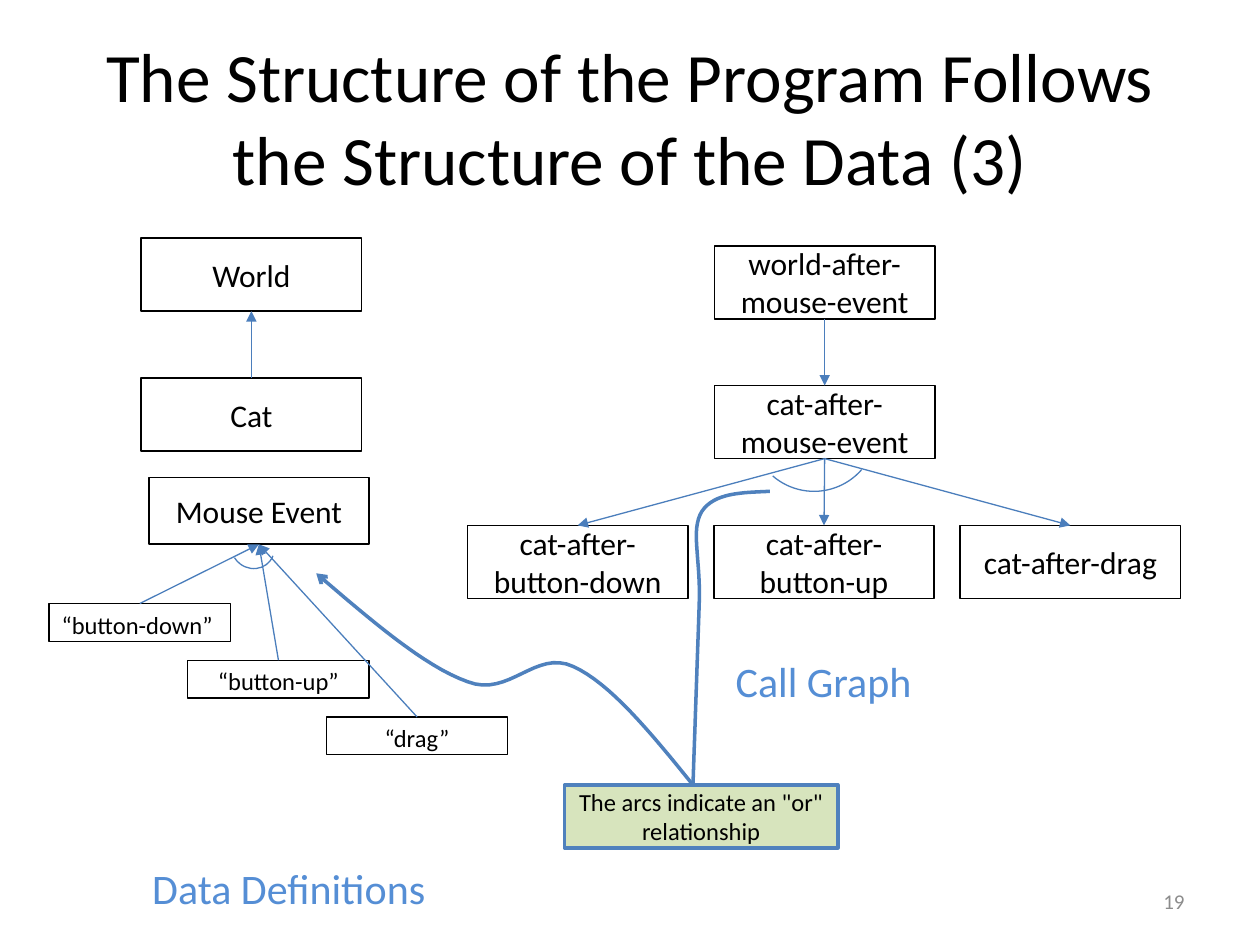
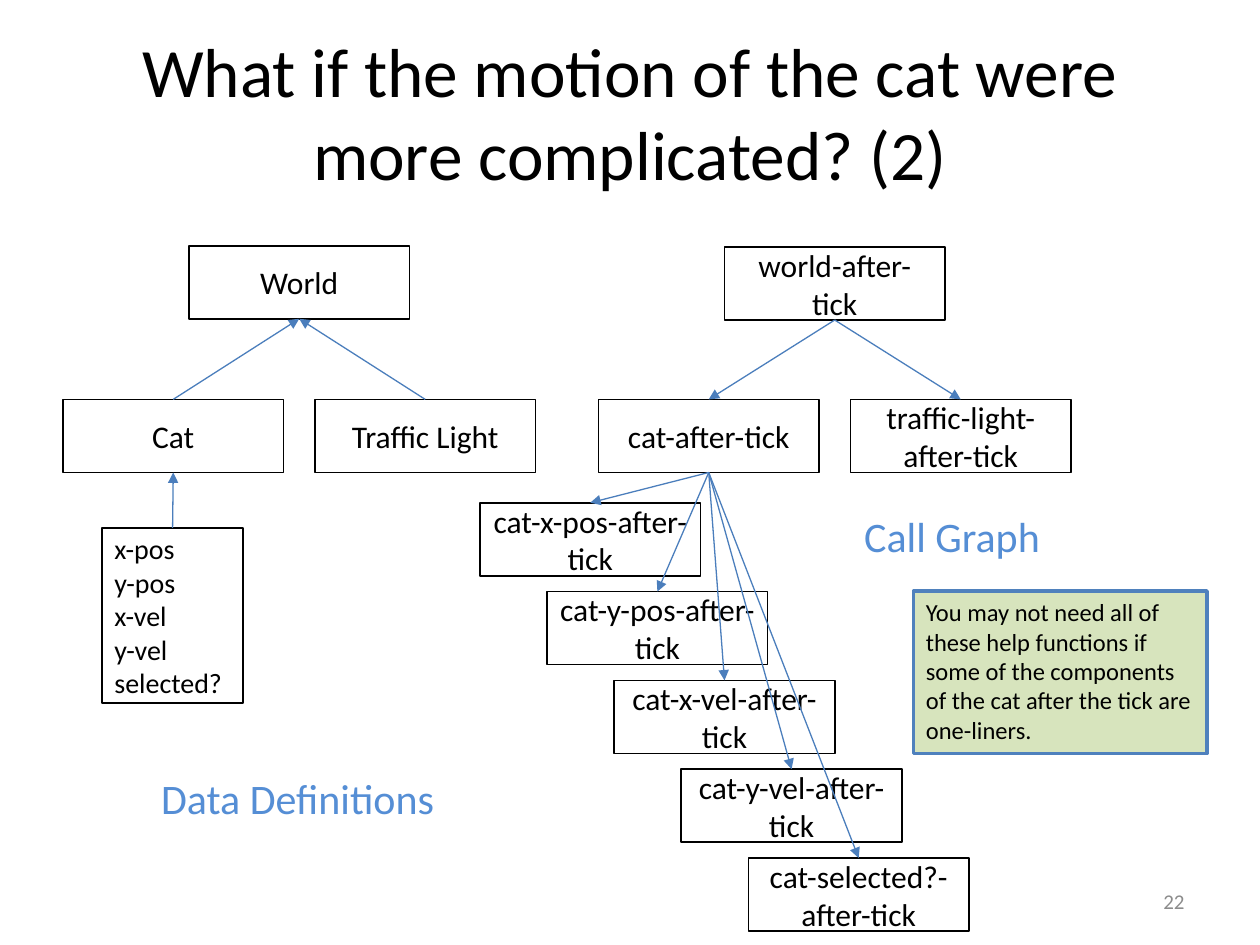
"""Build two slides that set data definitions beside their call graphs."""

from dataclasses import dataclass, field
from typing import Optional

import pptx
import pptx.dml.color
import pptx.enum.shapes
import pptx.enum.text
import pptx.oxml
import pptx.presentation
import pptx.shapes.autoshape
import pptx.slide
import pptx.util
from pptx.util import Inches

Align = pptx.enum.text.PP_ALIGN
Anchor = pptx.enum.text.MSO_ANCHOR
AutoSize = pptx.enum.text.MSO_AUTO_SIZE
Preset = pptx.enum.shapes.MSO_SHAPE
Color = pptx.dml.color.RGBColor
Shape = pptx.shapes.autoshape.Shape
Point = tuple[float, float]

TOP, BOTTOM = 0, 2


@dataclass(frozen=True)
class Theme:
    font: str = "Calibri"
    ink: Color = Color.from_string("000000")
    label: Color = Color.from_string("558ED5")
    number: Color = Color.from_string("8C8C8C")
    link: Color = Color.from_string("4B7EBC")
    accent: Color = Color.from_string("4F81BD")
    note: Color = Color.from_string("D7E4BD")
    title_size: float = 39.6
    label_size: float = 24
    node_size: float = 18
    list_size: float = 16
    small_size: float = 14
    number_size: float = 12
    thin: float = 0.75
    medium: float = 1
    thick: float = 2


THEME = Theme()


@dataclass(frozen=True)
class BoxStyle:
    size: float = THEME.node_size
    align: Align = Align.CENTER
    anchor: Anchor = Anchor.MIDDLE
    border: Color = THEME.ink
    weight: float = THEME.medium
    fill: Optional[Color] = None


NODE = BoxStyle()
FIELDS = BoxStyle(size=THEME.list_size, align=Align.LEFT)
LEAF = BoxStyle(size=THEME.small_size, anchor=Anchor.TOP, weight=THEME.thin)
LEFT_LEAF = BoxStyle(size=THEME.small_size, align=Align.LEFT, anchor=Anchor.TOP,
                     weight=THEME.thin)
NOTE = BoxStyle(size=THEME.small_size, border=THEME.accent,
                weight=THEME.thick, fill=THEME.note)
LEFT_NOTE = BoxStyle(size=THEME.small_size, align=Align.LEFT, anchor=Anchor.TOP,
                     border=THEME.accent, weight=THEME.thick, fill=THEME.note)


@dataclass(frozen=True)
class Box:
    text: str
    left: float
    top: float
    width: float = 1.75
    height: float = 0.58
    style: BoxStyle = NODE


@dataclass(frozen=True)
class Fan:
    hub: str
    others: list[str]
    upward: bool


@dataclass(frozen=True)
class Label:
    text: str
    left: float
    top: float
    width: float


@dataclass(frozen=True)
class Arc:
    left: float
    top: float
    width: float
    height: float
    rotation: float
    angles: tuple[float, float]


@dataclass(frozen=True)
class Curve:
    start: Point
    bends: list[tuple[Point, Point, Point]]
    arrow: bool = False


@dataclass(frozen=True)
class Diagram:
    title: str
    title_top: float
    number: str
    boxes: list[Box]
    fans: list[Fan]
    labels: list[Label]
    arcs: list[Arc] = field(default_factory=list)
    curves: list[Curve] = field(default_factory=list)


def style_text(shape: Shape, size: float, color: Color, align: Align, anchor: Anchor) -> None:
    shape.text_frame.vertical_anchor = anchor
    for paragraph in shape.text_frame.paragraphs:
        paragraph.alignment = align
        paragraph.font.name = THEME.font
        paragraph.font.size = pptx.util.Pt(size)
        paragraph.font.color.rgb = color


def style_line(shape, color: Color, weight: float, arrow: Optional[str] = None) -> None:
    shape.line.color.rgb = color
    shape.line.width = pptx.util.Pt(weight)
    if arrow:
        tail = pptx.oxml.parse_xml(
            '<a:tailEnd xmlns:a="http://schemas.openxmlformats.org/drawingml/2006/main"'
            f' type="{arrow}"/>')
        shape.line._get_or_add_ln().append(tail)


def add_title(page: pptx.slide.Slide, text: str, top: float) -> None:
    title = page.shapes.title
    title.left, title.top = Inches(0.5), Inches(top)
    title.width, title.height = Inches(9), Inches(1.25)
    title.text_frame.text = text
    title.text_frame.auto_size = AutoSize.NONE
    style_text(title, THEME.title_size, THEME.ink, Align.CENTER, Anchor.MIDDLE)


def add_number(page: pptx.slide.Slide, text: str) -> None:
    box = page.shapes.add_textbox(Inches(7.17), Inches(6.95), Inches(2.33), Inches(0.4))
    box.text_frame.text = text
    box.text_frame.word_wrap = True
    style_text(box, THEME.number_size, THEME.number, Align.RIGHT, Anchor.MIDDLE)


def add_label(page: pptx.slide.Slide, label: Label) -> None:
    box = page.shapes.add_textbox(Inches(label.left), Inches(label.top),
                                  Inches(label.width), Inches(0.5))
    box.text_frame.text = label.text
    box.text_frame.word_wrap = False
    box.text_frame.auto_size = AutoSize.SHAPE_TO_FIT_TEXT
    style_text(box, THEME.label_size, THEME.label, Align.LEFT, Anchor.TOP)


def add_box(page: pptx.slide.Slide, box: Box) -> Shape:
    style = box.style
    shape = page.shapes.add_shape(Preset.RECTANGLE, Inches(box.left), Inches(box.top),
                                  Inches(box.width), Inches(box.height))
    shape.shadow.inherit = False
    if style.fill is None:
        shape.fill.background()
    else:
        shape.fill.solid()
        shape.fill.fore_color.rgb = style.fill
    style_line(shape, style.border, style.weight)
    shape.text_frame.text = box.text
    shape.text_frame.word_wrap = True
    style_text(shape, style.size, THEME.ink, style.align, style.anchor)
    return shape


def add_link(page: pptx.slide.Slide, start: Shape, end: Shape, upward: bool) -> None:
    link = page.shapes.add_connector(pptx.enum.shapes.MSO_CONNECTOR.STRAIGHT, 0, 0, 0, 0)
    link.begin_connect(start, TOP if upward else BOTTOM)
    link.end_connect(end, BOTTOM if upward else TOP)
    style_line(link, THEME.link, THEME.thin, "triangle")
    link._element.spPr.append(pptx.oxml.parse_xml(
        '<a:effectLst xmlns:a="http://schemas.openxmlformats.org/drawingml/2006/main"/>'))


def add_arc(page: pptx.slide.Slide, arc: Arc) -> None:
    shape = page.shapes.add_shape(Preset.ARC, Inches(arc.left), Inches(arc.top),
                                  Inches(arc.width), Inches(arc.height))
    shape.adjustments[0], shape.adjustments[1] = arc.angles
    shape.rotation = arc.rotation
    shape.shadow.inherit = False
    shape.fill.background()
    style_line(shape, THEME.link, THEME.thin)


def bezier(points: tuple[Point, Point, Point, Point], share: float) -> Point:
    rest = 1 - share
    weights = (rest ** 3, 3 * rest ** 2 * share, 3 * rest * share ** 2, share ** 3)
    return (sum(weight * x for weight, (x, _) in zip(weights, points)),
            sum(weight * y for weight, (_, y) in zip(weights, points)))


def add_curve(page: pptx.slide.Slide, curve: Curve, steps: int = 16) -> None:
    dots, start = [], curve.start
    for bend in curve.bends:
        dots += [bezier((start, *bend), step / steps) for step in range(1, steps + 1)]
        start = bend[-1]
    builder = page.shapes.build_freeform(*map(Inches, curve.start))
    builder.add_line_segments([(Inches(x), Inches(y)) for x, y in dots], close=False)
    shape = builder.convert_to_shape()
    shape.shadow.inherit = False
    shape.fill.background()
    style_line(shape, THEME.accent, THEME.thick, "arrow" if curve.arrow else None)


def add_diagram(deck: pptx.presentation.Presentation, diagram: Diagram) -> None:
    page = deck.slides.add_slide(deck.slide_layouts.get_by_name("Title Only"))
    add_title(page, diagram.title, diagram.title_top)
    add_number(page, diagram.number)
    shapes = {box.text: add_box(page, box) for box in diagram.boxes}
    for fan in diagram.fans:
        for other in fan.others:
            ends = (other, fan.hub) if fan.upward else (fan.hub, other)
            add_link(page, *(shapes[name] for name in ends), fan.upward)
    for label in diagram.labels:
        add_label(page, label)
    for arc in diagram.arcs:
        add_arc(page, arc)
    for curve in diagram.curves:
        add_curve(page, curve)


EVENTS = ["“button-down”", "“button-up”", "“drag”"]
HANDLERS = ["cat-after-button-down", "cat-after-button-up", "cat-after-drag"]
CAT_FIELDS = ["x-pos", "y-pos", "x-vel", "y-vel", "selected?"]
FIELD_LIST = "\n".join(CAT_FIELDS)
FIELD_HELPERS = [f"cat-{name}-after-tick" for name in CAT_FIELDS]
ARC_NOTE_TOP = (5.5, 6.23)

MOUSE_EVENTS = Diagram(
    "The Structure of the Program Follows the Structure of the Data (3)", 0.3, "19",
    boxes=[
        Box("World", 1.12, 1.89), Box("Cat", 1.12, 3),
        Box("Mouse Event", 1.18, 3.79, height=0.53),
        *(Box(name, 0.39 + 1.1 * i, 4.79 + 0.45 * i, 1.44, 0.3, LEAF if i else LEFT_LEAF)
          for i, name in enumerate(EVENTS)),
        Box("world-after-mouse-event", 5.67, 1.95), Box("cat-after-mouse-event", 5.67, 3.06),
        *(Box(name, 3.71 + 3.91 / 2 * i, 4.17) for i, name in enumerate(HANDLERS)),
        Box('The arcs indicate an "or" relationship', 4.48, 6.23, 2.17, 0.5, NOTE),
    ],
    fans=[
        Fan("World", ["Cat"], True), Fan("Mouse Event", EVENTS, True),
        Fan("world-after-mouse-event", ["cat-after-mouse-event"], False),
        Fan("cat-after-mouse-event", HANDLERS, False),
    ],
    labels=[Label("Call Graph", 5.74, 5.15, 1.61), Label("Data Definitions", 1.11, 6.8, 2.39)],
    arcs=[Arc(1.84, 4.17, 0.33, 0.35, 127.6, (152.94, 13.78)),
          Arc(5.96, 2.9, 1, 1, 130.9, (162, 0))],
    curves=[
        Curve(ARC_NOTE_TOP, [((5.17, 5.82), (4.84, 5.42), (4.55, 5.29)),
                             ((4.25, 5.15), (4.04, 5.54), (3.71, 5.41)),
                             ((3.37, 5.29), (2.94, 4.92), (2.51, 4.55))], arrow=True),
        Curve(ARC_NOTE_TOP, [(ARC_NOTE_TOP, (5.55, 4.78), (5.55, 4.78)),
                             ((5.56, 4.42), (5.48, 4.21), (5.57, 4.06)),
                             ((5.67, 3.91), (5.89, 3.91), (6.11, 3.9))]),
    ])

CAT_MOTION = Diagram(
    "What if the motion of the cat were more complicated? (2)", 0.26, "22",
    boxes=[
        Box("World", 1.5, 1.95), Box("Cat", 0.5, 3.17), Box("Traffic Light", 2.5, 3.17),
        Box(FIELD_LIST, 0.81, 4.19, 1.12, 1.39, FIELDS),
        Box("world-after-tick", 5.75, 1.96), Box("cat-after-tick", 4.75, 3.17),
        Box("traffic-light-after-tick", 6.75, 3.17),
        *(Box(name, 3.81 + 2.13 / 4 * i, 3.99 + 2.82 / 4 * i)
          for i, name in enumerate(FIELD_HELPERS)),
        Box("You may not need all of these help functions if some of the components "
            "of the cat after the tick are one-liners.", 7.25, 4.69, 2.33, 1.29, LEFT_NOTE),
    ],
    fans=[
        Fan("World", ["Cat", "Traffic Light"], True), Fan("Cat", [FIELD_LIST], True),
        Fan("world-after-tick", ["cat-after-tick", "traffic-light-after-tick"], False),
        Fan("cat-after-tick", FIELD_HELPERS, False),
    ],
    labels=[Label("Data Definitions", 1.18, 6.08, 2.39), Label("Call Graph", 6.76, 4, 1.61)])


def main() -> None:
    deck = pptx.Presentation()
    deck.slide_width, deck.slide_height = Inches(10), Inches(7.5)
    for diagram in (MOUSE_EVENTS, CAT_MOTION):
        add_diagram(deck, diagram)
    deck.save("out.pptx")


if __name__ == "__main__":
    main()
